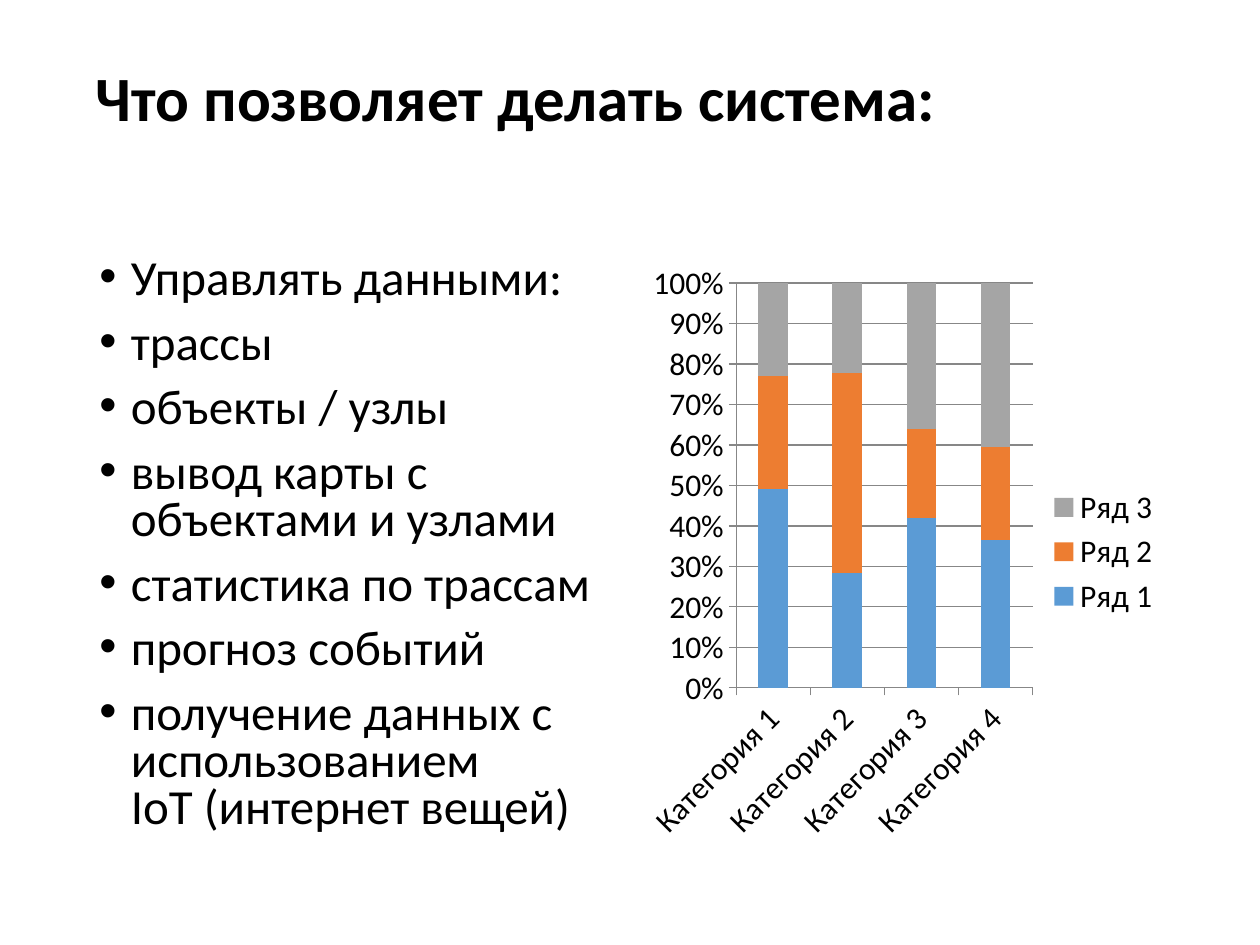
from lxml import etree
from pptx import Presentation
from pptx import util as u
from pptx.chart import data as chart_data
from pptx.dml import color
from pptx.enum import chart as charts, text
from pptx.oxml import ns

FONT = "Calibri"
BLACK = "000000"
GREY = "878787"
TITLE = "Что позволяет делать система:"
FEATURES = [
    "Управлять данными:",
    "трассы",
    "объекты /\u00a0узлы",
    "вывод карты с объектами и узлами",
    "статистика по трассам",
    "прогноз событий",
    "получение данных с использованием IoT\u00a0(интернет\u00a0вещей)",
]
SERIES = [
    ("Ряд 1", (49, 28, 42, 37), "5B9BD5"),
    ("Ряд 2", (28, 49, 22, 23), "ED7D31"),
    ("Ряд 3", (23, 22, 36, 41), "A5A5A5"),
]


def rgb(value):
    """Turn a hex string into a colour."""
    return color.RGBColor.from_string(value)


def apply(target, formats):
    """Set every attribute named in a dict of format values."""
    for name, value in formats.items():
        setattr(target, name, value)


def style_font(font, size, bold=False):
    """Give a font the deck's typeface and colour."""
    apply(font, {"name": FONT, "size": u.Pt(size), "bold": bold})
    font.color.rgb = rgb(BLACK)


def add_bullet(para, indent):
    """Give a paragraph a round bullet with a hanging indent."""
    props = para._p.get_or_add_pPr()
    props.set("marL", str(u.Pt(indent)))
    props.set("indent", str(u.Pt(-indent)))
    etree.SubElement(props, ns.qn("a:buFont")).set("typeface", "Arial")
    etree.SubElement(props, ns.qn("a:buChar")).set("char", "•")


def add_text(page, place, lines, size, spacing, bold=False, bullets=False, top=3.6):
    """Add a text box with one paragraph per line."""
    frame = page.shapes.add_textbox(*map(u.Pt, place)).text_frame
    apply(frame, {"word_wrap": True, "margin_top": u.Pt(top),
                  "vertical_anchor": text.MSO_ANCHOR.TOP})
    for index, line in enumerate(lines):
        para = frame.paragraphs[0] if index == 0 else frame.add_paragraph()
        para.line_spacing = spacing
        if bullets:
            para.space_before = u.Pt(10)
            add_bullet(para, 18)
        span = para.add_run()
        span.text = line
        style_font(span.font, size, bold)


def style_line(line):
    """Draw a thin grey chart line."""
    line.color.rgb = rgb(GREY)
    line.width = u.Pt(0.75)


def add_share_chart(page, place):
    """Add the stacked percentage column chart."""
    data = chart_data.CategoryChartData()
    data.categories = [f"Категория {number}" for number in range(1, 5)]
    for name, values, _ in SERIES:
        data.add_series(name, values)
    kind = charts.XL_CHART_TYPE.COLUMN_STACKED_100
    chart = page.shapes.add_chart(kind, *map(u.Pt, place), data).chart
    style_font(chart.font, 18)
    apply(chart, {"has_title": False, "has_legend": True})
    apply(chart.legend, {"position": charts.XL_LEGEND_POSITION.RIGHT,
                         "include_in_layout": False})
    plot = chart.plots[0]
    apply(plot, {"gap_width": 150, "overlap": 100, "vary_by_categories": False})
    for series, (_, _, fill) in zip(plot.series, SERIES):
        series.format.fill.solid()
        series.format.fill.fore_color.rgb = rgb(fill)
    for axis in (chart.category_axis, chart.value_axis):
        apply(axis, {"major_tick_mark": charts.XL_TICK_MARK.OUTSIDE,
                     "minor_tick_mark": charts.XL_TICK_MARK.NONE})
        style_line(axis.format.line)
    chart.value_axis.has_major_gridlines = True
    style_line(chart.value_axis.major_gridlines.format.line)
    apply(chart.value_axis.tick_labels,
          {"number_format": "0%", "number_format_is_linked": False})


def main():
    """Build the slide and save the deck."""
    deck = Presentation()
    apply(deck, {"slide_width": u.Pt(720), "slide_height": u.Pt(540)})
    page = deck.slides.add_slide(deck.slide_layouts[6])
    add_text(page, (47.5, 26, 620.6, 104.4), [TITLE], 36, 0.9, bold=True, top=12.6)
    add_text(page, (49.7, 144, 306, 342.7), FEATURES, 28, 0.8, bullets=True)
    add_share_chart(page, (364.3, 144, 306, 342.7))
    deck.save("out.pptx")


main()
